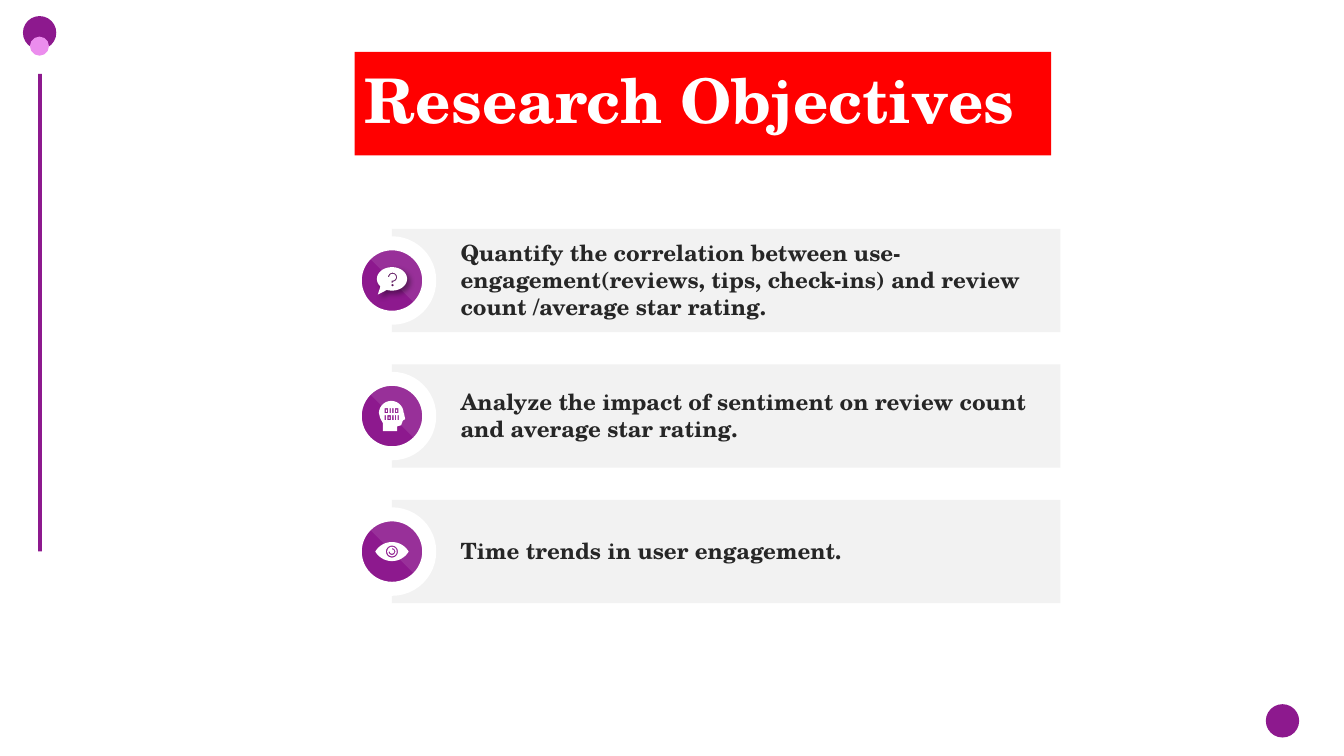
from math import cos, radians, sin

from lxml import etree
from pptx import Presentation
from pptx.dml.color import RGBColor
from pptx.enum.shapes import MSO_SHAPE
from pptx.enum.text import MSO_ANCHOR, MSO_AUTO_SIZE, PP_ALIGN
from pptx.oxml.ns import qn
from pptx.util import Pt

RECT, OVAL, ROUND = MSO_SHAPE.RECTANGLE, MSO_SHAPE.OVAL, MSO_SHAPE.ROUNDED_RECTANGLE
MIDDLE, LEFT, FIXED = MSO_ANCHOR.MIDDLE, PP_ALIGN.LEFT, MSO_AUTO_SIZE.NONE
PURPLE = RGBColor(0x8D, 0x19, 0x8E)
PINK = RGBColor(0xEB, 0x8D, 0xED)
RED = RGBColor(0xFF, 0x00, 0x00)
GREY = RGBColor(0xF2, 0xF2, 0xF2)
DARK = RGBColor(0x26, 0x26, 0x26)
WHITE = RGBColor(0xFF, 0xFF, 0xFF)
FONT = "TeX Gyre Schola"


def paint(shape, color):
    shape.shadow.inherit = False
    shape.fill.solid()
    shape.fill.fore_color.rgb = color
    shape.line.fill.background()
    return shape


def arc(x, y, rx, ry, start, end):
    """Points along an ellipse; angles in degrees, clockwise from the right."""
    steps = 32
    turns = [radians(start + (end - start) * i / steps) for i in range(steps + 1)]
    return [(x + rx * cos(t), y + ry * sin(t)) for t in turns]


deck = Presentation()
deck.slide_width, deck.slide_height = Pt(960), Pt(540)
slide = deck.slides.add_slide(deck.slide_layouts[5])
shapes = slide.shapes

# Side rail and corner dots
for form, color, x, y, wide, high in (
    (ROUND, PURPLE, 16.4, 11.5, 23.8, 23.8),
    (ROUND, PURPLE, 904.2, 503, 23.8, 23.8),
    (RECT, PURPLE, 27.2, 52.8, 2.8, 341),
    (ROUND, PINK, 21.4, 26.2, 13.6, 13.6),
):
    mark = paint(shapes.add_shape(form, Pt(x), Pt(y), Pt(wide), Pt(high)), color)
    if form == ROUND:
        mark.adjustments[0] = 0.5

# Title
title = shapes.title
title.left, title.top, title.width, title.height = Pt(253.4), Pt(37), Pt(497.4), Pt(74)
title.fill.solid()
title.fill.fore_color.rgb = RED
frame = title.text_frame
frame.auto_size, frame.word_wrap = FIXED, True
frame.vertical_anchor = MIDDLE
para = frame.paragraphs[0]
para.alignment, para.line_spacing = LEFT, 0.9
run = para.add_run()
run.text = "Research Objectives"
run.font.name, run.font.size, run.font.bold = FONT, Pt(44), True
run.font.color.rgb = WHITE

# Icon outlines, in points from the badge centre
gloss = arc(0, 0, 26.6, 26.6, -135, 45)
bubble = arc(0, -1.2, 10.8, 8.4, 140, 470) + [(-10.1, 10)]
hook = (
    arc(0.4, -2.4, 3.2, 3.2, 180, 450)
    + [(0.4, 1.7), (-0.3, 1.7), (-0.3, 0)]
    + arc(0.4, -2.4, 2.4, 2.4, 450, 180)
)
dot = arc(0.4, 3.3, 0.8, 0.8, 0, 360)

head = arc(-0.5, -2, 8.8, 8.8, 0, -180) + [
    (-8.4, 1.4), (-6.5, 5), (-6.5, 10.8), (3.6, 10.8), (3.6, 7.4),
    (6.5, 6.6), (7.8, 3.2), (9.4, 2.2), (8.6, -2),
]
digits, cores = [], []
for bits, y in (("0110", -5.6), ("10111", -0.6)):
    x = -5.2
    for bit in bits:
        wide = 2.4 if bit == "0" else 0.9
        digits.append([(x, y), (x + wide, y), (x + wide, y + 3.6), (x, y + 3.6)])
        if bit == "0":
            cores.append((x + 0.8, y + 1))
        x += wide + 1.05

lens = arc(0, 7, 13.8, 13.8, -149.6, -30.4) + arc(0, -7, 13.8, 13.8, 30.4, 149.6)
socket = arc(0, 0, 4.3, 4.3, 0, 360)
iris = arc(0, 0, 3.4, 3.4, 0, 360)
swirl = arc(0, 0, 2.4, 2.4, -90, 180) + arc(0, 0, 1.5, 1.5, 180, -90)

rows = (
    ("Quantify the correlation between use-engagement(reviews, tips, check-ins) "
     "and review count /average star rating.", [[bubble, hook, dot]], []),
    ("Analyze the impact of sentiment on review count and average star rating.",
     [[head, *digits]], cores),
    ("Time trends in user engagement.", [[iris, swirl], [lens, socket]], []),
)

# Objective rows
MID, FIRST, STEP = 280, 200.4, 96.8
for i, (words, icon, cores) in enumerate(rows):
    y = FIRST + i * STEP
    paint(shapes.add_shape(RECT, Pt(MID), Pt(y - 36.9), Pt(477.4), Pt(73.8)), GREY)

    badge = shapes.add_group_shape().shapes
    disc = badge.add_shape(OVAL, Pt(MID - 26.6), Pt(y - 26.6), Pt(53.2), Pt(53.2))
    paint(disc, PURPLE)
    disc.line.color.rgb, disc.line.width = WHITE, Pt(10)

    box = shapes.add_textbox(Pt(329), Pt(y - 22), Pt(408.2), Pt(42.6))
    frame = box.text_frame
    frame.word_wrap, frame.vertical_anchor = True, MIDDLE
    frame.margin_left = frame.margin_right = frame.margin_top = frame.margin_bottom = 0
    run = frame.paragraphs[0].add_run()
    run.text = words
    run.font.name, run.font.size, run.font.bold = FONT, Pt(16), True
    run.font.color.rgb = DARK

    emblem = shapes.add_group_shape().shapes
    for host, loops in [(badge, [gloss])] + [(emblem, part) for part in icon]:
        loops = [[(Pt(MID + px), Pt(y + py)) for px, py in loop] for loop in loops]
        pen = host.build_freeform(*loops[0][0], scale=1.0)
        pen.add_line_segments(loops[0][1:])
        for hole in loops[1:]:
            pen.move_to(*hole[0])
            pen.add_line_segments(hole[1:])
        figure = paint(pen.convert_to_shape(), WHITE)
        props = figure.element.spPr
        if host is badge:
            tint = props.find(qn("a:solidFill"))[0]
            etree.SubElement(tint, qn("a:alpha"), val="10000")
        elif icon[0][0] is bubble:
            glow = etree.SubElement(
                props.find(qn("a:effectLst")), qn("a:outerShdw"),
                blurRad=str(Pt(4)), dist=str(Pt(3)), dir="2700000",
            )
            shade = etree.SubElement(glow, qn("a:srgbClr"), val="000000")
            etree.SubElement(shade, qn("a:alpha"), val="40000")
    for px, py in cores:
        paint(emblem.add_shape(RECT, Pt(MID + px), Pt(y + py), Pt(0.8), Pt(1.6)), WHITE)

deck.save("out.pptx")
